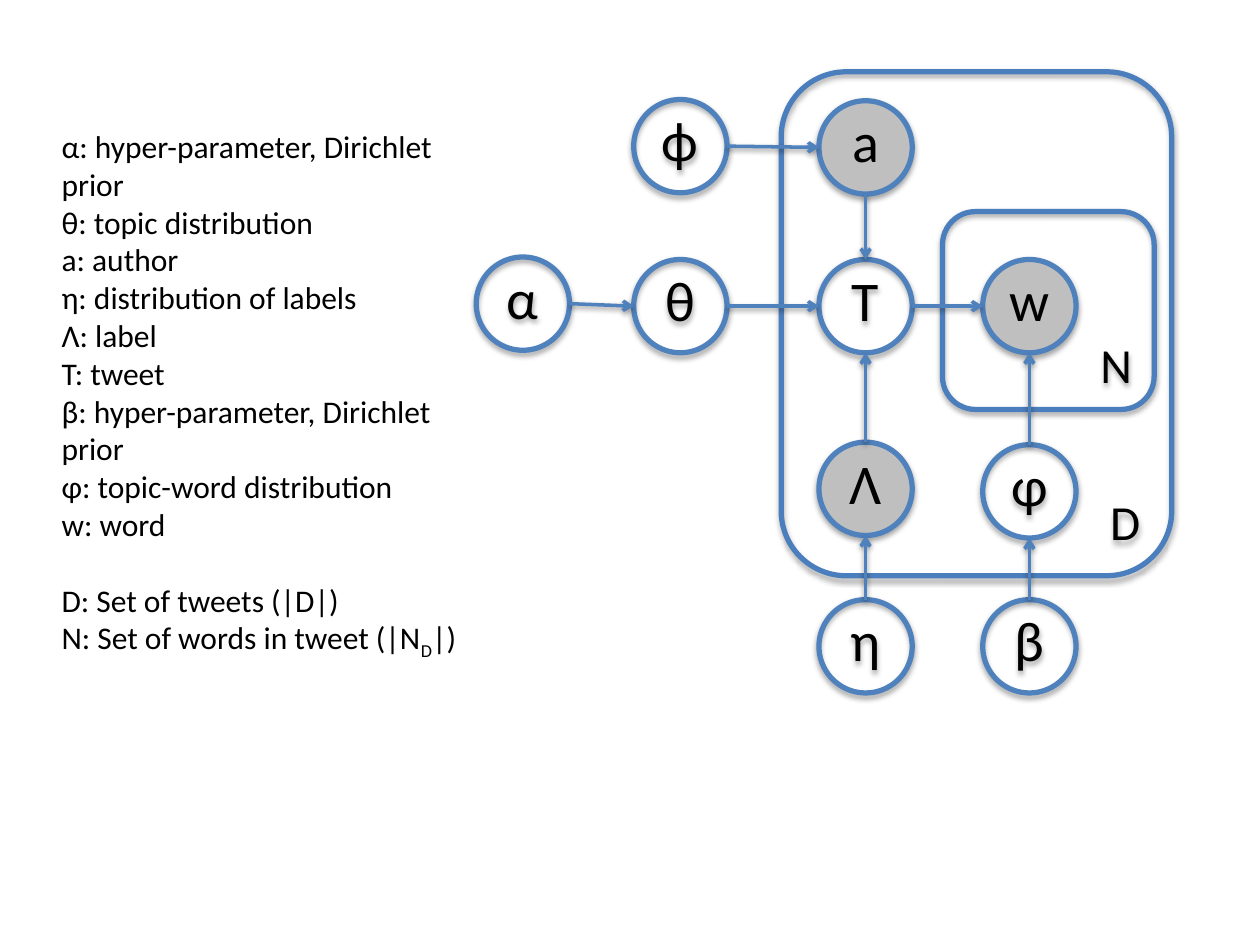
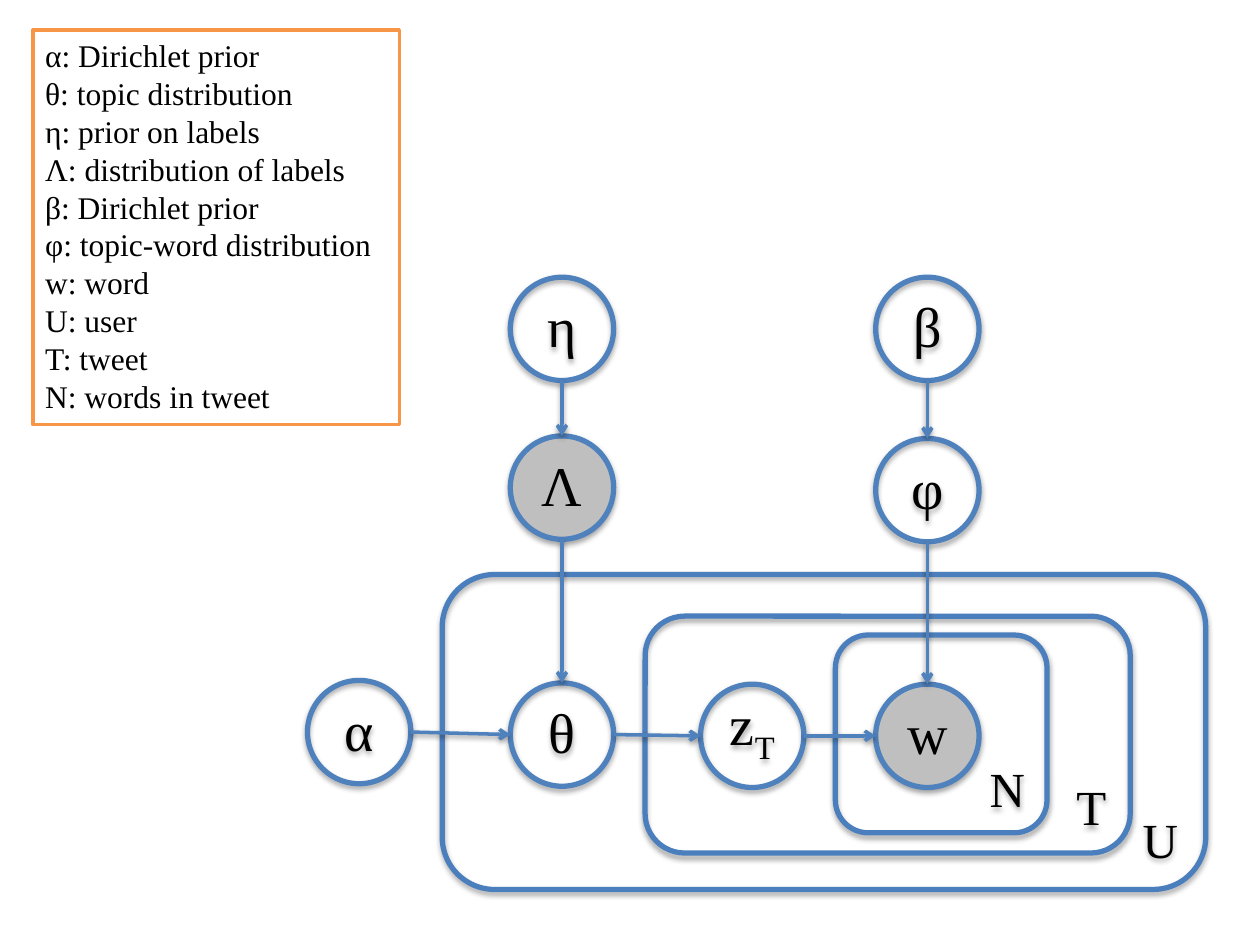
"""Build two plate diagrams of tweet topic models, each with a legend of symbols."""
from dataclasses import dataclass

from lxml.etree import SubElement
from pptx import Presentation
from pptx.dml.color import RGBColor
from pptx.enum.shapes import MSO_CONNECTOR, MSO_SHAPE
from pptx.enum.text import MSO_ANCHOR, PP_ALIGN
from pptx.oxml.ns import qn
from pptx.util import Inches, Pt


@dataclass(frozen=True)
class Theme:
    ink: RGBColor = RGBColor.from_string("000000")
    paper: RGBColor = RGBColor.from_string("FFFFFF")
    observed: RGBColor = RGBColor.from_string("BFBFBF")
    node: RGBColor = RGBColor.from_string("4F81BD")
    plate: RGBColor = RGBColor.from_string("4B7EBC")
    frame: RGBColor = RGBColor.from_string("F79646")
    node_size: Pt = Pt(32)
    plate_size: Pt = Pt(28)
    legend_size: Pt = Pt(18)
    outline: Pt = Pt(3)
    thin: Pt = Pt(2)


theme = Theme()


def write(p, text, size, face):
    base, _, tail = text.partition("_")
    for part, offset in ((base, 0), (tail[:1], -25000), (tail[1:], 0)):
        if part:
            r = p.add_run()
            r.text = part
            for name, value in {"name": face, "size": size, "bold": False}.items():
                setattr(r.font, name, value)
            r.font.color.rgb = theme.ink
            if offset:
                r.font._element.set("baseline", str(offset))


def outline(sp, color, width, distance, alpha):
    sp.line.color.rgb = color
    sp.line.width = width
    spPr = sp._element.spPr
    for old in spPr.findall(qn("a:effectLst")):
        spPr.remove(old)
    effects = SubElement(spPr, qn("a:effectLst"))
    shadow = SubElement(effects, qn("a:outerShdw"), blurRad="40000",
                        dist=str(distance), dir="5400000", rotWithShape="0")
    tint = SubElement(shadow, qn("a:srgbClr"), val="000000")
    SubElement(tint, qn("a:alpha"), val=str(alpha))


slides = [
    {
        "face": "Calibri",
        "diameter": 0.74,
        "nodes": {
            "α": (3.78, 2.04), "θ": (5.03, 2.06), "T": (6.5, 2.06), "w": (7.8, 2.06),
            "φ": (7.8, 3.53), "β": (7.8, 4.76), "Λ": (6.5, 3.51), "η": (6.5, 4.76),
            "a": (6.5, 0.8), "ϕ": (5.03, 0.79),
        },
        "observed": "wΛa",
        "plates": {"D": (6.2, 0.57, 3.1, 4), "N": (7.48, 1.68, 1.68, 1.57)},
        "arrows": [("η", "Λ"), ("Λ", "T"), ("θ", "T"), ("α", "θ"), ("a", "T"),
                   ("T", "w"), ("φ", "w"), ("β", "φ"), ("ϕ", "a")],
        "legend_box": (0.39, 0.96, 3.39, 4.64),
        "framed": False,
        "legend": [
            ["α: hyper-parameter, Dirichlet prior", "θ: topic distribution", "a: author",
             "η: distribution of labels", "Λ: label", "T: tweet",
             "β: hyper-parameter, Dirichlet prior", "φ: topic-word distribution", "w: word"],
            ["D: Set of tweets (|D|)", "N: Set of words in tweet (|N_D|)"],
        ],
    },
    {
        "face": "Times New Roman",
        "diameter": 0.82,
        "nodes": {
            "α": (2.44, 5.4), "θ": (4.05, 5.42), "z_T": (5.56, 5.43), "w": (6.95, 5.43),
            "φ": (6.95, 3.48), "β": (6.95, 2.2), "Λ": (4.05, 3.46), "η": (4.05, 2.2),
        },
        "observed": "wΛ",
        "plates": {"T": (5.12, 4.89, 3.85, 1.88), "N": (6.63, 5.04, 1.68, 1.57),
                   "U": (3.51, 4.56, 6.06, 2.5)},
        "arrows": [("η", "Λ"), ("Λ", "θ"), ("θ", "z_T"), ("α", "θ"), ("φ", "w"),
                   ("β", "φ"), ("z_T", "w")],
        "legend_box": (0.26, 0.24, 2.91, 3.13),
        "framed": True,
        "legend": [
            ["α: Dirichlet prior", "θ: topic distribution", "η: prior on labels",
             "Λ: distribution of labels", "β: Dirichlet prior", "φ: topic-word distribution",
             "w: word", "U: user", "T: tweet", "N: words in tweet"],
        ],
    },
]

prs = Presentation()
prs.slide_width, prs.slide_height = Inches(10), Inches(7.5)

for model in slides:
    s = prs.slides.add_slide(prs.slide_layouts[6])
    face, d, nodes = model["face"], model["diameter"], model["nodes"]

    shapes = [(MSO_SHAPE.OVAL, name, (x, y, d, d), theme.node, theme.node_size,
               PP_ALIGN.CENTER, name in model["observed"])
              for name, (x, y) in nodes.items()]
    shapes += [(MSO_SHAPE.ROUNDED_RECTANGLE, name, box, theme.plate, theme.plate_size,
                PP_ALIGN.RIGHT, False)
               for name, box in model["plates"].items()]
    for kind, name, box, color, size, align, shaded in shapes:
        sp = s.shapes.add_shape(kind, *map(Inches, box))
        if shaded:
            sp.fill.solid()
            sp.fill.fore_color.rgb = theme.observed
        else:
            sp.fill.background()
        outline(sp, color, theme.outline, 23000, 35000)
        tf = sp.text_frame
        tf.vertical_anchor = MSO_ANCHOR.BOTTOM
        p = tf.paragraphs[0]
        p.alignment = align
        write(p, name, size, face)

    for start, end in model["arrows"]:
        (x1, y1), (x2, y2) = nodes[start], nodes[end]
        across = (x2 > x1) - (x2 < x1)
        down = 0 if across else (1 if y2 > y1 else -1)
        r = d / 2
        ends = (x1 + r + across * r, y1 + r + down * r,
                x2 + r - across * r, y2 + r - down * r)
        line = s.shapes.add_connector(MSO_CONNECTOR.STRAIGHT, *map(Inches, ends))
        outline(line, theme.node, theme.thin, 20000, 38000)
        SubElement(line.line._get_or_add_ln(), qn("a:tailEnd"), type="arrow")

    legend = s.shapes.add_textbox(*map(Inches, model["legend_box"]))
    if model["framed"]:
        legend.fill.solid()
        legend.fill.fore_color.rgb = theme.paper
        legend.line.color.rgb = theme.frame
        legend.line.width = theme.thin
    tf = legend.text_frame
    tf.word_wrap = True
    p = tf.paragraphs[0]
    for g, group in enumerate(model["legend"]):
        for i, entry in enumerate(group):
            if g or i:
                p = tf.add_paragraph()
            if g and not i:
                p.space_before = Pt(21.6)
            write(p, entry, theme.legend_size, face)

prs.save("out.pptx")
